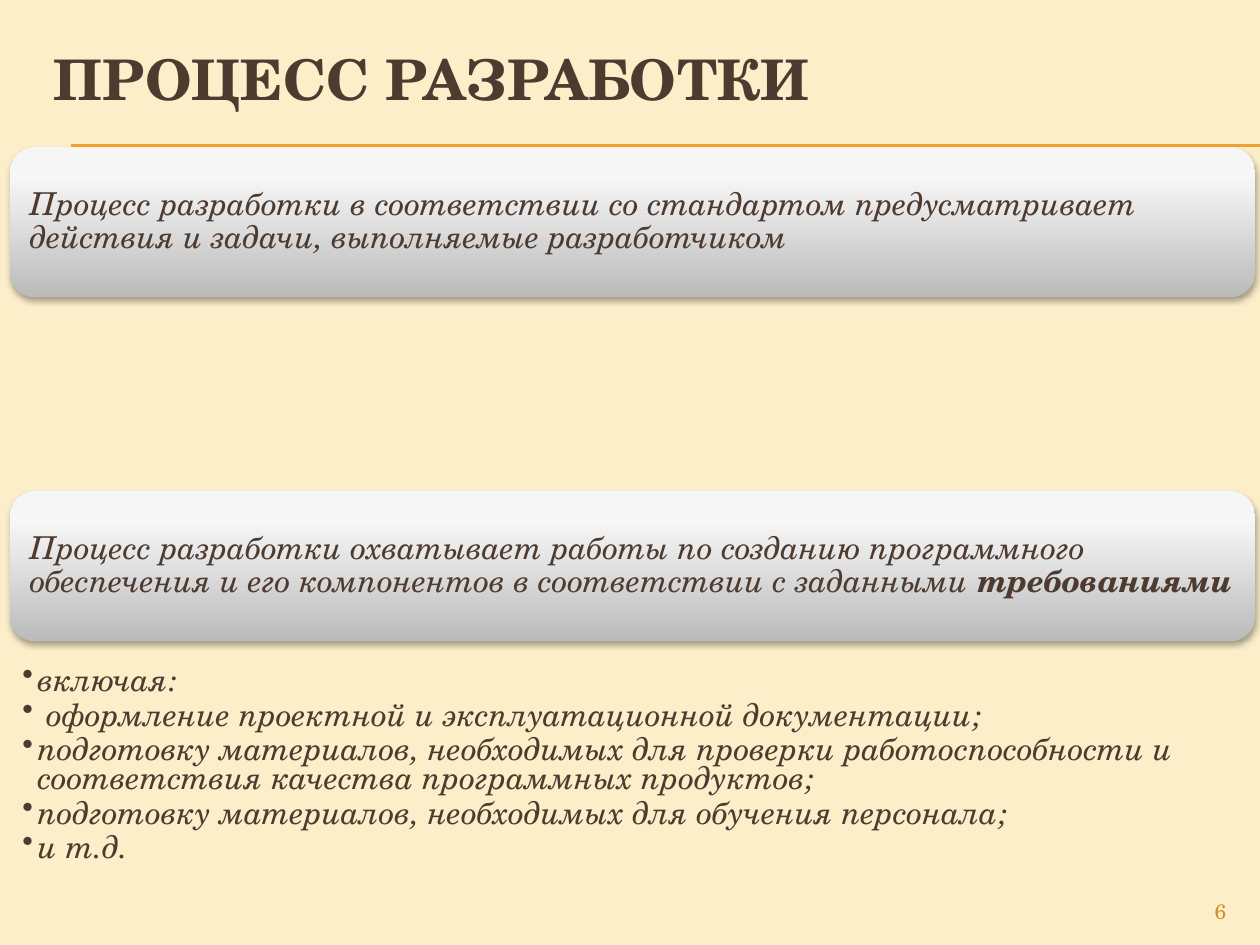
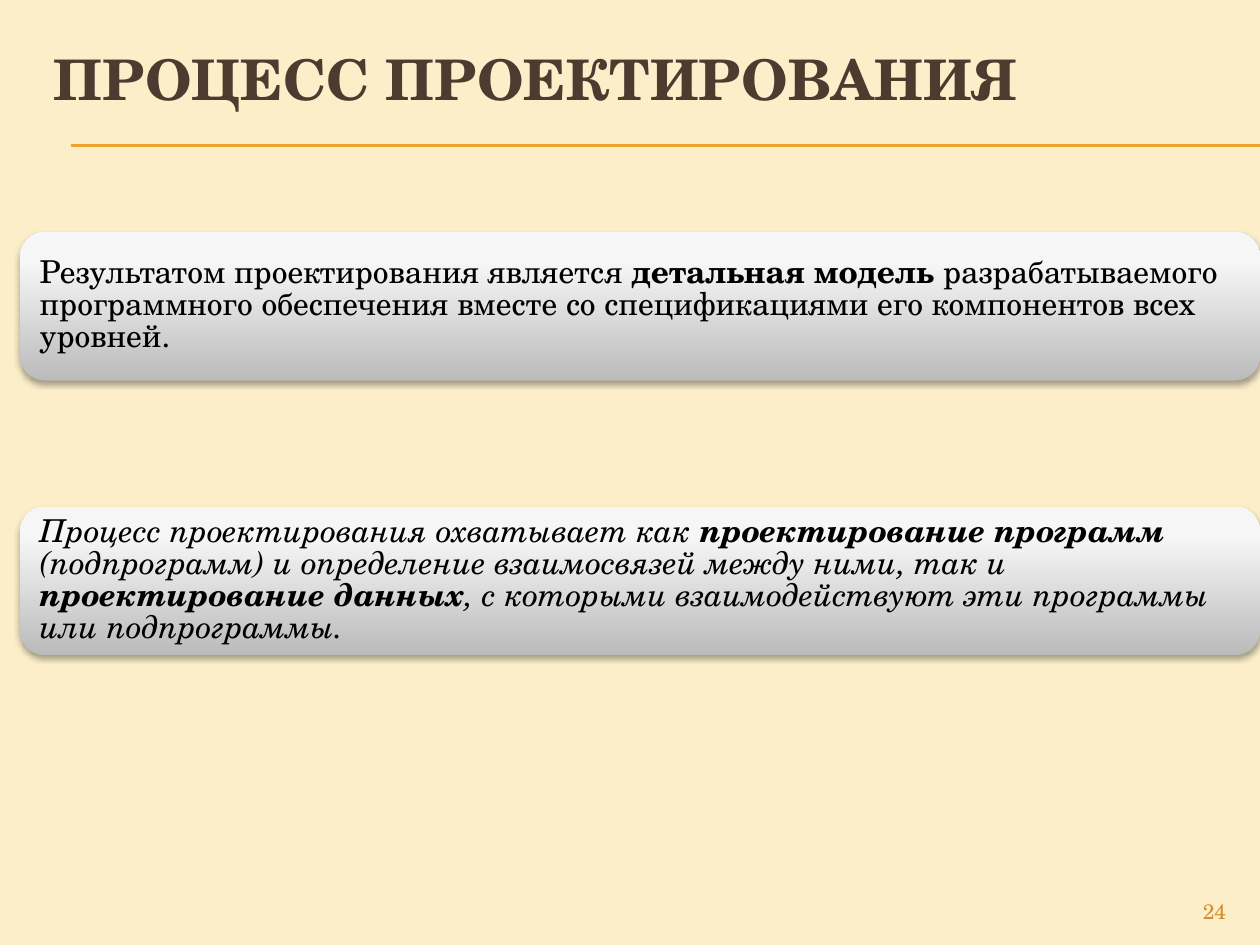
"""Build two slides about the development and design processes."""
from copy import deepcopy
from dataclasses import dataclass

from lxml import etree
from pptx import Presentation
from pptx import util as u
from pptx.dml.color import RGBColor
from pptx.enum import shapes, text
from pptx.oxml.ns import qn

PX = u.Inches(1) // 100
FONT = "TeX Gyre Schola"
COLOURS = {
    "background": "FBEEC9",
    "rule": "F0A22E",
    "number": "D28E28",
    "brown": "4E3B30",
    "black": "000000",
    "panel_bottom": "BBBBBB",
    "panel_middle": "F6F6F6",
    "panel_top": "F7F7F7",
}
PANEL_STOPS = ((0, "panel_bottom"), (0.8, "panel_middle"), (1, "panel_top"))


@dataclass(frozen=True)
class Area:
    """Position and size in px."""
    left: int
    top: int
    width: int
    height: int

    def emu(self) -> list[int]:
        """Return the four lengths in EMU."""
        return [n * PX for n in (self.left, self.top, self.width, self.height)]


@dataclass(frozen=True)
class Style:
    """Look of a block of text."""
    size: int
    colour: str
    bold: bool = False
    italic: bool = False
    align: text.PP_ALIGN = text.PP_ALIGN.LEFT
    anchor: text.MSO_ANCHOR = text.MSO_ANCHOR.MIDDLE
    line_spacing: float = 1.0
    gap: float = 0
    bullet: str = ""


@dataclass(frozen=True)
class Span:
    """Words with one weight."""
    words: str
    bold: bool = False


@dataclass(frozen=True)
class Block:
    """An area of paragraphs, with or without a panel behind."""
    area: Area
    style: Style
    paragraphs: list[list[Span]]
    panel: bool = False


@dataclass(frozen=True)
class Page:
    """Content of one slide."""
    title: str
    number: int
    blocks: list[Block]


TITLE_AREA = Area(33, 16, 950, 92)
NUMBER_AREA = Area(900, 708, 83, 27)
TITLE = Style(32, "brown", bold=True)
NUMBER = Style(12, "number", align=text.PP_ALIGN.RIGHT, anchor=text.MSO_ANCHOR.TOP)
BROWN_ITALIC = Style(18, "brown", italic=True, line_spacing=0.85)
BLACK = Style(18, "black", line_spacing=0.85)
BLACK_ITALIC = Style(18, "black", italic=True, line_spacing=0.85)
BULLETS = Style(18, "brown", italic=True, anchor=text.MSO_ANCHOR.TOP,
                line_spacing=0.75, gap=3.6, bullet="•")

PAGES = [
    Page("ПРОЦЕСС РАЗРАБОТКИ", 6, [
        Block(Area(8, 117, 988, 119), BROWN_ITALIC, [[
            Span("Процесс разработки в соответствии со стандартом предусматривает "
                 "действия и задачи, выполняемые разработчиком")]], panel=True),
        Block(Area(8, 390, 988, 119), BROWN_ITALIC, [[
            Span("Процесс разработки охватывает работы по созданию программного "
                 "обеспечения и его компонентов в соответствии с заданными "),
            Span("требованиями", bold=True)]], panel=True),
        Block(Area(8, 526, 988, 119), BULLETS, [
            [Span("включая:")],
            [Span(" оформление проектной и эксплуатационной документации;")],
            [Span("подготовку материалов, необходимых для проверки работоспособности "
                  "и соответствия качества программных продуктов;")],
            [Span("подготовку материалов, необходимых для обучения персонала;")],
            [Span("и т.д.")]]),
    ]),
    Page("ПРОЦЕСС ПРОЕКТИРОВАНИЯ", 24, [
        Block(Area(16, 184, 984, 118), BLACK, [[
            Span("Результатом проектирования является "),
            Span("детальная модель ", bold=True),
            Span("разрабатываемого программного обеспечения вместе со "
                 "спецификациями его компонентов всех уровней.")]], panel=True),
        Block(Area(16, 402, 984, 118), BLACK_ITALIC, [[
            Span("Процесс проектирования охватывает как "),
            Span("проектирование программ ", bold=True),
            Span("(подпрограмм) и определение взаимосвязей между ними, так и "),
            Span("проектирование данных", bold=True),
            Span(", с которыми взаимодействуют эти программы или подпрограммы.")]],
            panel=True),
    ]),
]


def rgb(name: str) -> RGBColor:
    """Look up a colour."""
    return RGBColor.from_string(COLOURS[name])


def apply(target, values: dict) -> None:
    """Set attributes from a dict."""
    for name, value in values.items():
        setattr(target, name, value)


def add_node(parent, tag: str, **attributes):
    """Append a drawing element."""
    return etree.SubElement(parent, qn(tag), {k: str(v) for k, v in attributes.items()})


def add_bullet(paragraph, style: Style) -> None:
    """Give a paragraph a coloured bullet and a hanging indent."""
    properties = paragraph._p.get_or_add_pPr()
    indent = 12 * PX
    properties.set("marL", str(indent))
    properties.set("indent", str(-indent))
    add_node(add_node(properties, "a:buClr"), "a:srgbClr", val=COLOURS[style.colour])
    add_node(properties, "a:buChar", char=style.bullet)


def write(box, paragraphs: list[list[Span]], style: Style) -> None:
    """Fill a box with styled paragraphs."""
    frame = box.text_frame
    apply(frame, {"word_wrap": True, "vertical_anchor": style.anchor})
    for index, spans in enumerate(paragraphs):
        paragraph = frame.add_paragraph() if index else frame.paragraphs[0]
        apply(paragraph, {"alignment": style.align, "line_spacing": style.line_spacing,
                          "space_before": u.Pt(style.gap if index else 0)})
        if style.bullet:
            paragraph.level = 1
            add_bullet(paragraph, style)
        for span in spans:
            run = paragraph.add_run()
            run.text = span.words
            apply(run.font, {"name": FONT, "size": u.Pt(style.size),
                             "bold": style.bold or span.bold, "italic": style.italic})
            run.font.color.rgb = rgb(style.colour)


def add_panel(slide, area: Area):
    """Draw a rounded panel with a grey gradient and a soft shadow."""
    box = slide.shapes.add_shape(shapes.MSO_SHAPE.ROUNDED_RECTANGLE, *area.emu())
    box.adjustments[0] = 0.167
    box.line.fill.background()
    box.fill.gradient()
    box.fill.gradient_angle = 90
    stop_list = box._element.spPr.find(qn("a:gradFill")).find(qn("a:gsLst"))
    stop_list.append(deepcopy(stop_list[-1]))
    for stop, (position, colour) in zip(box.fill.gradient_stops, PANEL_STOPS):
        stop.position = position
        stop.color.rgb = rgb(colour)
    box.shadow.inherit = False
    effects = box._element.spPr.find(qn("a:effectLst"))
    shadow = add_node(effects, "a:outerShdw", blurRad=u.Pt(3.1), dist=u.Pt(1.8),
                      dir=5400000, rotWithShape=0)
    shade = add_node(shadow, "a:srgbClr", val=COLOURS["black"])
    add_node(shade, "a:alpha", val=35000)
    return box


def add_block(slide, block: Block) -> None:
    """Draw a block of text."""
    if block.panel:
        box = add_panel(slide, block.area)
    else:
        box = slide.shapes.add_textbox(*block.area.emu())
    write(box, block.paragraphs, block.style)


def add_rule(slide, top: int) -> None:
    """Draw a thin line under the title."""
    rule = slide.shapes.add_connector(shapes.MSO_CONNECTOR.STRAIGHT,
                                      56 * PX, top * PX, 1000 * PX, top * PX)
    rule.line.color.rgb = rgb("rule")
    rule.line.width = u.Pt(0.75)
    add_node(rule._element.spPr, "a:effectLst")


def add_page(deck, page: Page) -> None:
    """Add a slide with its shared parts and its blocks."""
    slide = deck.slides.add_slide(deck.slide_layouts[6])
    slide.background.fill.solid()
    slide.background.fill.fore_color.rgb = rgb("background")
    for top in (115, 116):
        add_rule(slide, top)
    number = Block(NUMBER_AREA, NUMBER, [[Span(str(page.number))]])
    title = Block(TITLE_AREA, TITLE, [[Span(page.title)]])
    for block in (number, title, *page.blocks):
        add_block(slide, block)


def main() -> None:
    """Build and save the deck."""
    deck = Presentation()
    apply(deck, {"slide_width": 1000 * PX, "slide_height": 750 * PX})
    for page in PAGES:
        add_page(deck, page)
    deck.save("out.pptx")


if __name__ == "__main__":
    main()
